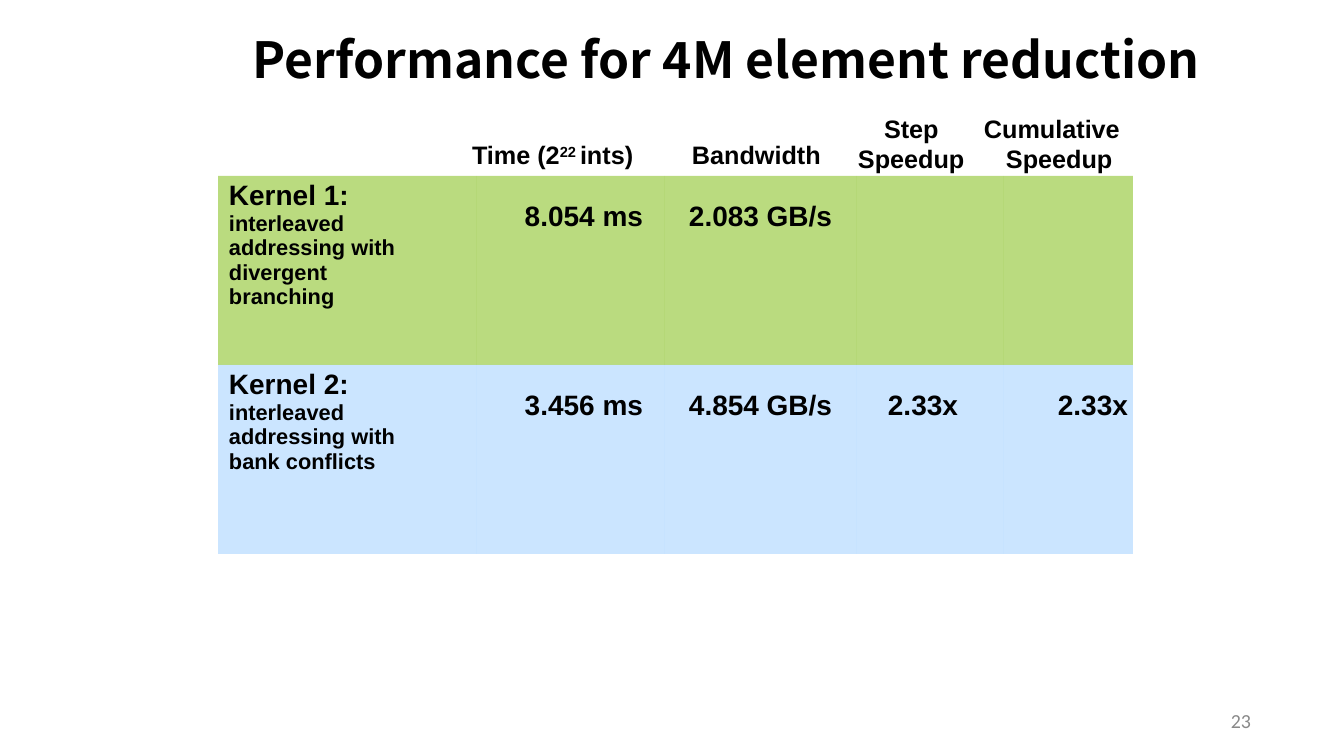
from pptx import Presentation
from pptx.dml.color import RGBColor
from pptx.enum.text import MSO_ANCHOR, PP_ALIGN
from pptx.oxml import parse_xml
from pptx.oxml.ns import nsdecls, qn
from pptx.util import Emu, Pt

PIXEL = 914400 / 112
BLACK = RGBColor(0x00, 0x00, 0x00)
GRAY = RGBColor(0x89, 0x89, 0x89)
GREEN = RGBColor(0x76, 0xB8, 0x00)
BLUE = RGBColor(0x99, 0xCC, 0xFF)
NO_GRID_STYLE = "{2D5ABB26-0587-4C30-8999-92F81FD0307C}"

TITLE = {"name": "Noto Sans CJK SC", "size": Pt(32), "bold": True}
VALUE = {"name": "Arial", "size": Pt(18), "bold": True}
DETAIL = {**VALUE, "size": Pt(14)}
HEADER = {**VALUE, "size": Pt(16.2)}
NUMBER = {"name": "Calibri", "size": Pt(12.8), "bold": False}

COLUMN_WIDTHS = [259, 188, 192, 147, 129]
ROW_HEIGHT = 189
VALUE_INDENTS = [0, 24, 31, 54]

# Left, top, width, height, left margin, first-line indent, runs
HEADERS = [
    (468, 138, 176, 32, 4, 0, ["Time (2", "22 ", "ints)"]),
    (691, 138, 138, 32, 1, 0, ["Bandwidth"]),
    (857, 112, 112, 63, 1, 26, ["Step Speedup"]),
    (983, 112, 142, 63, 23, -22, ["Cumulative Speedup"]),
]
KERNELS = [
    (GREEN, "Kernel 1:", "interleaved addressing with divergent branching",
     ["8.054 ms", "2.083 GB/s", "", ""]),
    (BLUE, "Kernel 2:", "interleaved addressing with bank conflicts",
     ["3.456 ms", "4.854 GB/s", "2.33x", "2.33x"]),
]


def px(length):
    return Emu(round(length * PIXEL))


def set_attributes(target, values):
    for name, value in values.items():
        setattr(target, name, value)


def add_run(para, text, style, color=BLACK):
    span = para.add_run()
    span.text = text
    set_attributes(span.font, style)
    span.font.color.rgb = color
    return span


def set_indent(para, left, first=0):
    properties = para._p.get_or_add_pPr()
    properties.set("marL", str(px(left)))
    properties.set("indent", str(px(first)))


def place(shape, left, top, width, height):
    set_attributes(shape, {"left": px(left), "top": px(top),
                           "width": px(width), "height": px(height)})


def set_frame(frame, anchor, top=0):
    set_attributes(frame, {"word_wrap": True, "vertical_anchor": anchor,
                           "margin_left": 0, "margin_right": 0,
                           "margin_top": px(top), "margin_bottom": 0})


def add_text_box(slide, left, top, width, height, anchor=MSO_ANCHOR.TOP, inset=1):
    box = slide.shapes.add_textbox(*map(px, (left, top, width, height)))
    set_frame(box.text_frame, anchor, inset)
    return box.text_frame.paragraphs[0]


def add_title(slide, text):
    title = slide.shapes.title
    place(title, 149, 27, 1155, 62)
    set_frame(title.text_frame, MSO_ANCHOR.MIDDLE, 1)
    para = title.text_frame.paragraphs[0]
    para.alignment = PP_ALIGN.CENTER
    add_run(para, text, TITLE)


def add_header(slide, left, top, width, height, margin, first, texts):
    para = add_text_box(slide, left, top, width, height)
    set_indent(para, margin, first)
    for text in texts:
        span = add_run(para, text, HEADER)
        if text.strip() == "22":
            span._r.get_or_add_rPr().set("baseline", "25000")


def format_cell(cell, color, top, right=0):
    set_attributes(cell, {"margin_left": 0, "margin_right": px(right),
                          "margin_top": px(top), "margin_bottom": 0})
    cell.fill.solid()
    cell.fill.fore_color.rgb = color
    fill_color = cell._tc.tcPr.find(".//" + qn("a:srgbClr"))
    fill_color.append(parse_xml(f'<a:alpha {nsdecls("a")} val="50000"/>'))


def fill_row(row, color, name, detail, values):
    kernel_cell, *value_cells = row.cells
    format_cell(kernel_cell, color, 4, right=65)
    frame = kernel_cell.text_frame
    for para, text, style in ((frame.paragraphs[0], name, VALUE),
                              (frame.add_paragraph(), detail, DETAIL)):
        set_indent(para, 11)
        add_run(para, text, style)

    for index, (cell, text) in enumerate(zip(value_cells, values)):
        is_time = index == 0
        format_cell(cell, color, 25, right=22 if is_time else 0)
        if text:
            para = cell.text_frame.paragraphs[0]
            set_indent(para, VALUE_INDENTS[index])
            para.alignment = PP_ALIGN.RIGHT if is_time else PP_ALIGN.LEFT
            add_run(para, text, VALUE)


def add_kernel_table(slide):
    area = (218, 176, sum(COLUMN_WIDTHS), ROW_HEIGHT * len(KERNELS))
    table = slide.shapes.add_table(
        len(KERNELS), len(COLUMN_WIDTHS), *map(px, area)).table
    set_attributes(table, {"first_row": False, "horz_banding": False})
    table._tbl.tblPr.find(qn("a:tableStyleId")).text = NO_GRID_STYLE
    for column, width in zip(table.columns, COLUMN_WIDTHS):
        column.width = px(width)
    for row, kernel in zip(table.rows, KERNELS):
        row.height = px(ROW_HEIGHT)
        fill_row(row, *kernel)


def add_slide_number(slide, text):
    para = add_text_box(slide, 949, 701, 302, 40, MSO_ANCHOR.MIDDLE, 0)
    set_attributes(para, {"alignment": PP_ALIGN.RIGHT, "line_spacing": Pt(14.2)})
    add_run(para, text, NUMBER, GRAY)


def main():
    deck = Presentation()
    set_attributes(deck, {"slide_width": px(1344), "slide_height": px(756)})
    page = deck.slides.add_slide(deck.slide_layouts[5])

    # Title
    add_title(page, "Performance for 4M element reduction")

    # Kernel timings with column headers above
    add_kernel_table(page)
    for header in HEADERS:
        add_header(page, *header)

    # Footer
    add_slide_number(page, "23")
    deck.save("out.pptx")


if __name__ == "__main__":
    main()
